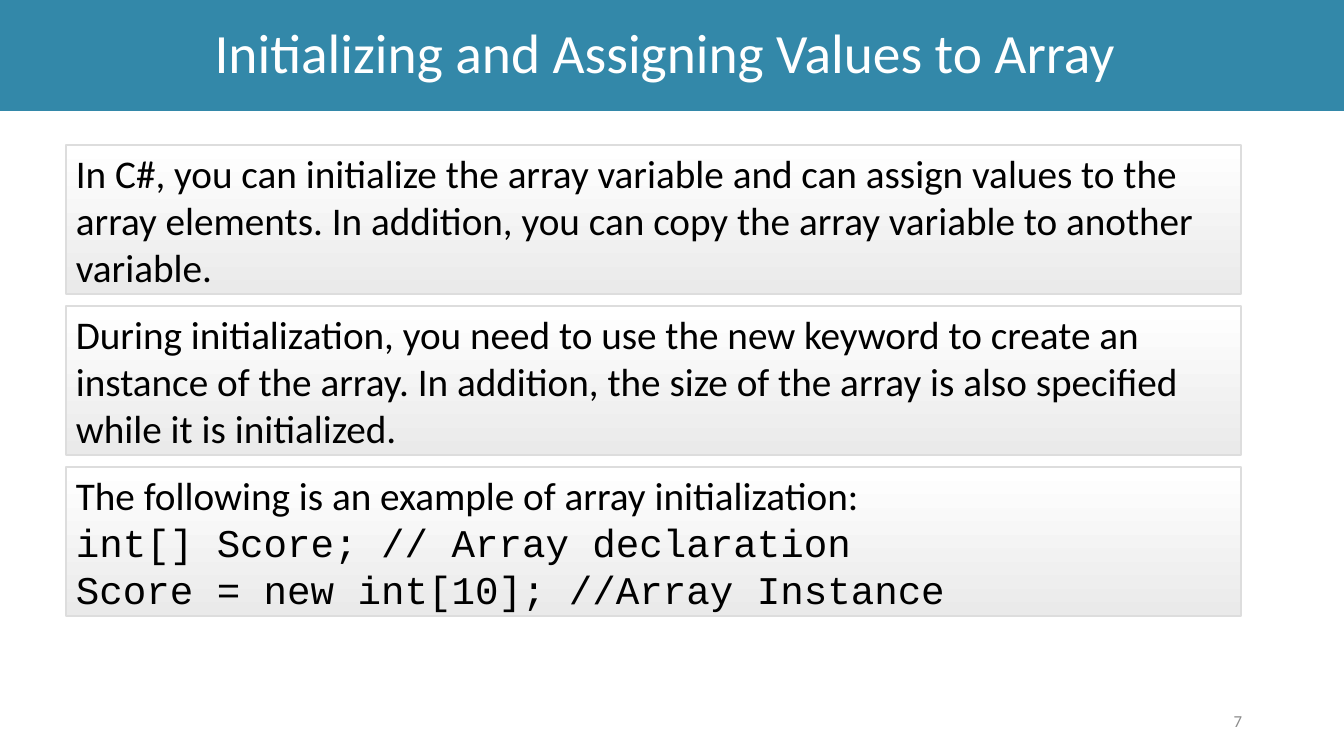
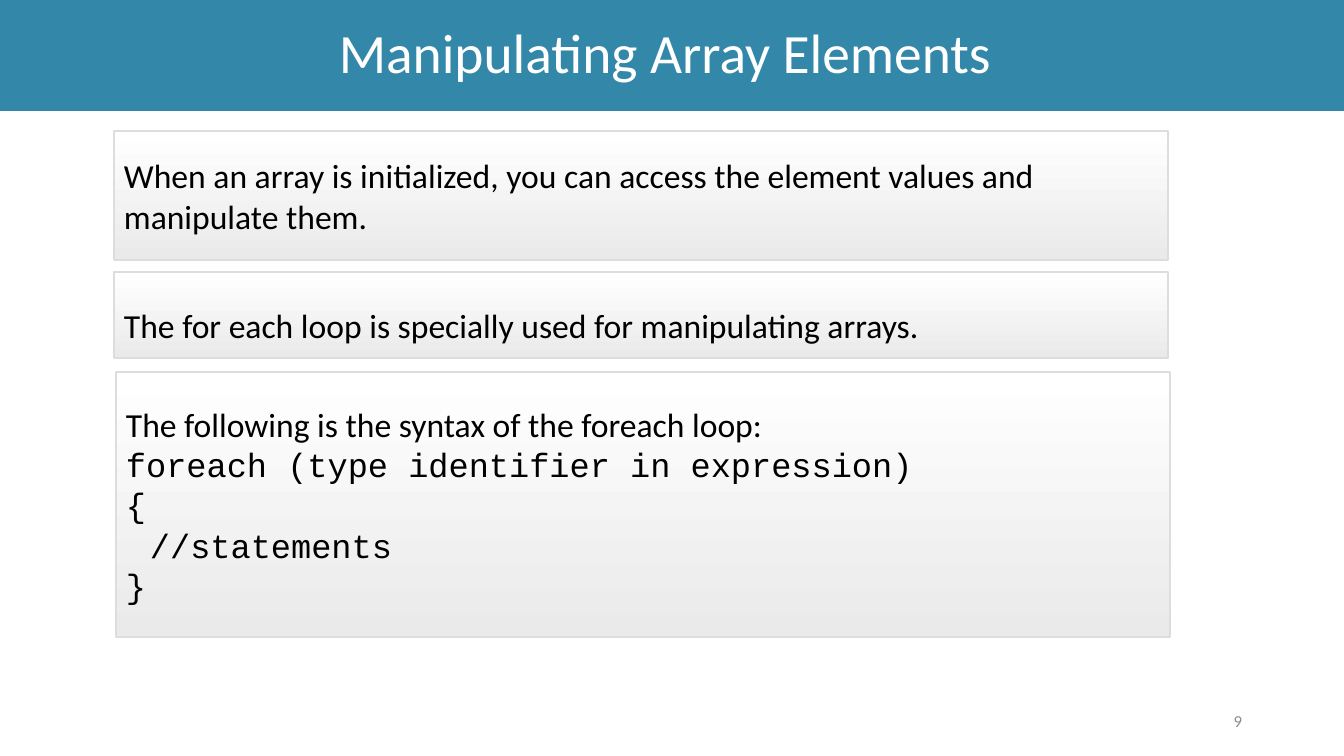
from dataclasses import dataclass

from pptx import Presentation
from pptx.dml.color import RGBColor
from pptx.enum.shapes import MSO_SHAPE
from pptx.enum.text import MSO_ANCHOR, PP_ALIGN
from pptx.util import Emu, Pt

RECT = MSO_SHAPE.RECTANGLE
MIDDLE = MSO_ANCHOR.MIDDLE
LEFT, CENTER, RIGHT = PP_ALIGN.LEFT, PP_ALIGN.CENTER, PP_ALIGN.RIGHT
WIDTH, HEIGHT = 1344, 756
SCALE = 914400 / 100.8


def px(n):
    return Emu(round(n * SCALE))


def rgb(code):
    return RGBColor.from_string(code)


@dataclass(frozen=True)
class Theme:
    band: str = "3388A9"
    light: str = "FFFFFF"
    shade: str = "EAEAEA"
    edge: str = "DDDDDD"
    ink: str = "000000"
    muted: str = "8C8C8C"
    body: str = "Calibri"
    code: str = "Courier New"
    title: float = 39.6
    large: int = 28
    medium: int = 24
    small: int = 12


class Deck:
    def __init__(self, theme):
        self.theme = theme
        self.prs = Presentation()
        self.prs.slide_width, self.prs.slide_height = px(WIDTH), px(HEIGHT)
        self.slide = None

    def page(self, title, number):
        """Start a slide with its title band and page number."""
        self.slide = self.prs.slides.add_slide(self.prs.slide_layouts[6])
        self.band(title)
        self.number(number)

    def rect(self, x, y, w, h):
        shape = self.slide.shapes.add_shape(RECT, px(x), px(y), px(w), px(h))
        shape.shadow.inherit = False
        return shape

    def label(self, shape, text, size, color, align=LEFT, space=1.0):
        frame = shape.text_frame
        frame.word_wrap = True
        frame.vertical_anchor = MIDDLE
        frame.text = text
        for para in frame.paragraphs:
            para.alignment = align
            para.line_spacing = space
            para.font.name = self.theme.body
            para.font.size = Pt(size)
            para.font.color.rgb = rgb(color)
        return frame

    def band(self, text):
        t = self.theme
        shape = self.rect(0, 0, WIDTH, 111)
        shape.fill.solid()
        shape.fill.fore_color.rgb = rgb(t.band)
        shape.line.fill.background()
        frame = self.label(shape, text, t.title, t.light, CENTER, 0.9)
        frame.margin_right = px(24)

    def number(self, value):
        t = self.theme
        box = self.slide.shapes.add_textbox(px(950), px(701), px(302), px(40))
        self.label(box, str(value), t.small, t.muted, RIGHT)

    def panel(self, x, y, w, h, text, size, code=(), space=1.0, indent=()):
        """Shaded box: a text line, then code lines; indent lists inset ones."""
        t = self.theme
        shape = self.rect(x, y, w, h)
        shape.fill.gradient()
        shape.fill.gradient_angle = 270
        for stop, color in zip(shape.fill.gradient_stops, (t.light, t.shade)):
            stop.color.rgb = rgb(color)
        shape.line.color.rgb = rgb(t.edge)
        shape.line.width = Pt(1)
        frame = self.label(shape, "\n".join((text, *code)), size, t.ink, space=space)
        for i, para in enumerate(frame.paragraphs[1:]):
            para.font.name = t.code
            if i in indent:
                para._p.get_or_add_pPr().set("marL", str(px(24)))


theme = Theme()
deck = Deck(theme)

# Initialization: three equal panels
deck.page("Initializing and Assigning Values to Array", 7)
panels = (
    ("In C#, you can initialize the array variable and can assign values to the "
     "array elements. In addition, you can copy the array variable to another "
     "variable.", ()),
    ("During initialization, you need to use the new keyword to create an "
     "instance of the array. In addition, the size of the array is also "
     "specified while it is initialized.", ()),
    ("The following is an example of array initialization:",
     ("int[] Score; // Array declaration",
      "Score = new int[10]; //Array Instance")),
)
for i, (text, code) in enumerate(panels):
    deck.panel(66, 145 + 161 * i, 1175, 149, text, theme.large, code)

# Manipulation: panels sized to their text
deck.page("Manipulating Array Elements", 9)
deck.panel(114, 131, 1054, 129,
           "When an array is initialized, you can access the element values and "
           "manipulate them.", theme.medium)
deck.panel(114, 272, 1054, 86,
           "The for each loop is specially used for manipulating arrays.",
           theme.medium, space=1.5)
deck.panel(116, 372, 1054, 265,
           "The following is the syntax of the foreach loop:", theme.medium,
           ("foreach (type identifier in expression)", "{", "//statements", "}"),
           indent=(2,))

deck.prs.save("out.pptx")
